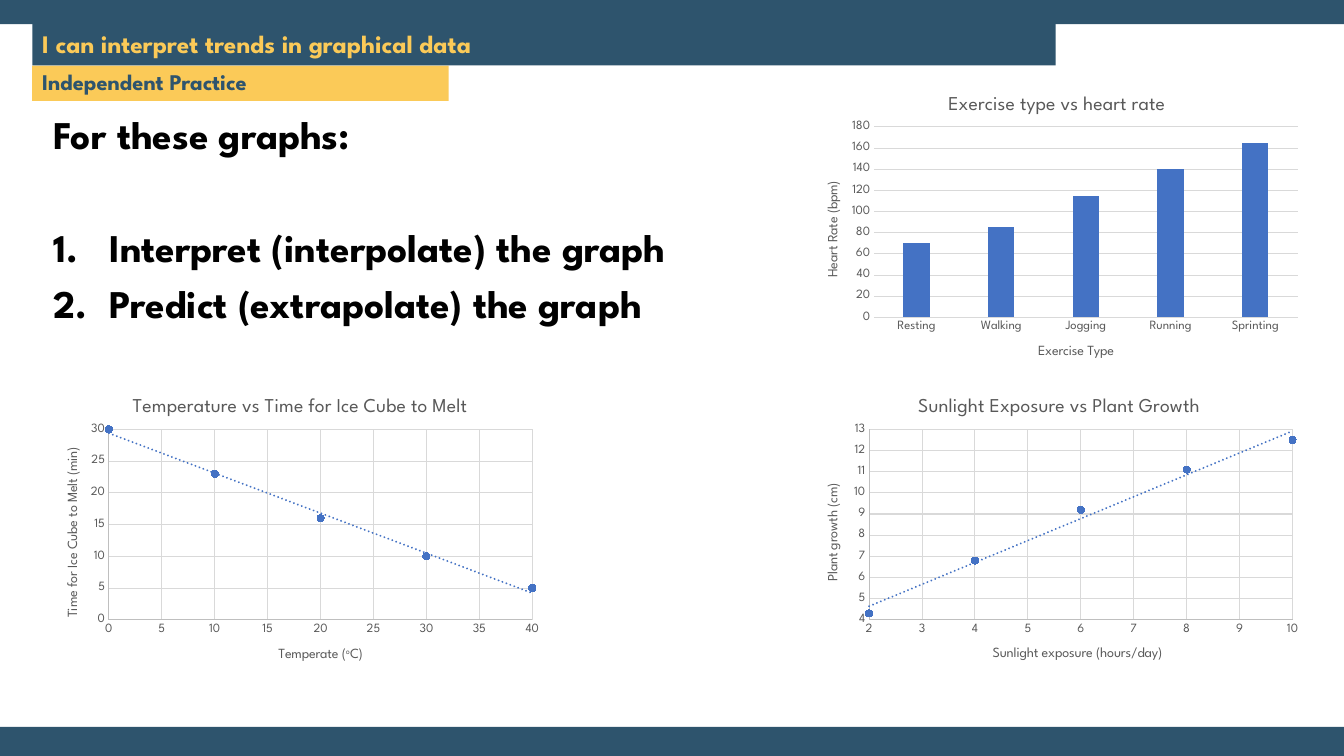
"""Build a practice slide with three graphs to interpret."""
from dataclasses import dataclass
from typing import Any

from lxml import etree
from pptx import Presentation
from pptx.chart.data import CategoryChartData, XyChartData
from pptx.dml.color import RGBColor
from pptx.enum.chart import XL_CHART_TYPE, XL_MARKER_STYLE, XL_TICK_MARK
from pptx.enum.shapes import MSO_SHAPE
from pptx.enum.text import MSO_ANCHOR, PP_ALIGN
from pptx.oxml import parse_xml
from pptx.oxml.ns import nsdecls, qn
from pptx.util import Inches, Pt

COLUMN = XL_CHART_TYPE.COLUMN_CLUSTERED
SCATTER = XL_CHART_TYPE.XY_SCATTER
CIRCLE = XL_MARKER_STYLE.CIRCLE
NO_TICK = XL_TICK_MARK.NONE
RECTANGLE = MSO_SHAPE.RECTANGLE
MIDDLE = MSO_ANCHOR.MIDDLE
LEFT = PP_ALIGN.LEFT

FONT = "League Spartan"
NAVY, YELLOW, BLACK = "2E546D", "FBCA58", "000000"
BLUE, GREY, GRID, AXIS = "4472C4", "595959", "D9D9D9", "BFBFBF"
WIDTH, HEIGHT = 13.33, 7.5
CHART_WIDTH, CHART_HEIGHT = 5, 3


@dataclass
class Band:
    left: float
    top: float
    width: float
    height: float
    fill: str
    text: str = ""
    size: int = 18
    color: str = YELLOW


@dataclass
class AxisStyle:
    title: str
    title_at: tuple[float, float]
    scale: dict[str, float]
    line: str = AXIS
    grid: bool = True
    rotation: int = 0


@dataclass
class Graph:
    left: float
    top: float
    title: str
    title_at: tuple[float, float]
    plot_at: tuple[float, float, float, float]
    across: AxisStyle
    upward: AxisStyle
    keys: list[Any]
    values: list[float]
    kind: Any = SCATTER


BANDS = [
    Band(0, 0, WIDTH, 0.24, NAVY),
    Band(0, 7.21, WIDTH, 0.29, NAVY),
    Band(0.32, 0.65, 4.13, 0.35, YELLOW, "Independent Practice", 16, NAVY),
    Band(0.32, 0.24, 10.15, 0.41, NAVY, "I can interpret trends in graphical data"),
]
TASKS = ["Interpret (interpolate) the graph", "Predict (extrapolate) the graph"]
GRAPHS = [
    Graph(7.97, 0.75, "Exercise type vs heart rate", (0.28, 0.05), (0.14, 0.17, 0.84, 0.63),
          AxisStyle("Exercise Type", (0.46, 0.88), {}, GRID, grid=False),
          AxisStyle("Heart Rate (bpm)", (0.04, 0.34),
                    {"minimum_scale": 0, "maximum_scale": 180, "major_unit": 20}, "", rotation=-90),
          ["Resting", "Walking", "Jogging", "Running", "Sprinting"], [70, 85, 115, 140, 165], COLUMN),
    Graph(0.43, 3.75, "Temperature vs Time for Ice Cube to Melt", (0.17, 0.05), (0.13, 0.17, 0.84, 0.63),
          AxisStyle("Temperate (^o^C)", (0.46, 0.88),
                    {"minimum_scale": 0, "maximum_scale": 40, "major_unit": 5}),
          AxisStyle("Time for Ice Cube to Melt (min)", (0.04, 0.22),
                    {"minimum_scale": 0, "maximum_scale": 30, "major_unit": 5}, rotation=-90),
          [0, 10, 20, 30, 40], [30, 23, 16, 10, 5]),
    Graph(7.97, 3.75, "Sunlight Exposure vs Plant Growth", (0.22, 0.05), (0.13, 0.17, 0.84, 0.63),
          AxisStyle("Sunlight exposure (hours/day)", (0.37, 0.88),
                    {"minimum_scale": 2, "maximum_scale": 10, "major_unit": 1}),
          AxisStyle("Plant growth (cm)", (0.04, 0.34),
                    {"minimum_scale": 4, "maximum_scale": 13, "major_unit": 1}, rotation=-90),
          [2, 4, 6, 8, 10], [4.3, 6.8, 9.2, 11.1, 12.5]),
]


def rgb(color: str) -> RGBColor:
    return RGBColor.from_string(color)


def set_all(target: Any, values: dict[str, Any]) -> None:
    for name, value in values.items():
        setattr(target, name, value)


def style_font(font: Any, size: float, color: str, bold: bool) -> None:
    set_all(font, {"name": FONT, "size": Pt(size), "bold": bold})
    font.color.rgb = rgb(color)


def draw_band(page: Any, band: Band) -> None:
    box = page.shapes.add_shape(RECTANGLE, *map(Inches, (band.left, band.top, band.width, band.height)))
    box.shadow.inherit = False
    box.fill.solid()
    box.fill.fore_color.rgb = rgb(band.fill)
    box.line.fill.background()
    if band.text:
        set_all(box.text_frame, {"vertical_anchor": MIDDLE, "word_wrap": True})
        para = box.text_frame.paragraphs[0]
        set_all(para, {"text": band.text, "alignment": LEFT, "line_spacing": 0.9})
        style_font(para.runs[0].font, band.size, band.color, True)


def draw_tasks(page: Any) -> None:
    box = page.shapes.add_textbox(*map(Inches, (0.43, 1.1, 9.93, 3)))
    box.text_frame.word_wrap = True
    heading = box.text_frame.paragraphs[0]
    set_all(heading, {"text": "For these graphs:", "line_spacing": 0.9})
    style_font(heading.runs[0].font, 28, BLACK, True)
    for index, task in enumerate(TASKS):
        para = box.text_frame.add_paragraph()
        set_all(para, {"text": task, "line_spacing": 0.9, "space_before": Pt(10 if index else 50)})
        properties = para._p.get_or_add_pPr()
        properties.set("marL", str(Inches(0.56)))
        properties.set("indent", str(-Inches(0.56)))
        etree.SubElement(properties, qn("a:buAutoNum"), type="arabicPeriod")
        style_font(para.runs[0].font, 28, BLACK, True)


def place(element: Any, index: int, fractions: tuple[float, ...]) -> None:
    for layout in element.findall(qn("c:layout")):
        element.remove(layout)
    layout = etree.Element(qn("c:layout"))
    manual = etree.SubElement(layout, qn("c:manualLayout"))
    if len(fractions) == 4:
        etree.SubElement(manual, qn("c:layoutTarget"), val="inner")
    for side in "xy":
        etree.SubElement(manual, qn(f"c:{side}Mode"), val="edge")
    for side, fraction in zip("xywh", fractions):
        etree.SubElement(manual, qn(f"c:{side}"), val=str(fraction))
    element.insert(index, layout)


def write_title(title: Any, text: str, size: int, at: tuple[float, float], rotation: int = 0) -> None:
    para = title.text_frame.paragraphs[0]
    for index, part in enumerate(text.split("^")):
        span = para.add_run()
        span.text = part
        style_font(span.font, size, GREY, False)
        if index % 2:
            span._r.get_or_add_rPr().set("baseline", "30000")
    style_font(para.font, size, GREY, False)
    title.element.find(".//" + qn("a:bodyPr")).set("rot", str(rotation * 60000))
    place(title.element, 1, at)


def style_line(line: Any, color: str) -> None:
    line.width = Pt(0.75)
    line.color.rgb = rgb(color)


def style_axis(axis: Any, style: AxisStyle) -> None:
    set_all(axis, {"major_tick_mark": NO_TICK, "minor_tick_mark": NO_TICK,
                   "has_major_gridlines": style.grid, **style.scale})
    set_all(axis.tick_labels, {"number_format": "General", "number_format_is_linked": False})
    style_font(axis.tick_labels.font, 9, GREY, False)
    if style.grid:
        style_line(axis.major_gridlines.format.line, GRID)
    if style.line:
        style_line(axis.format.line, style.line)
    else:
        axis.format.line.fill.background()
    write_title(axis.axis_title, style.title, 10, style.title_at, style.rotation)


def add_trend(series: Any) -> None:
    trend = parse_xml(
        f'<c:trendline {nsdecls("c", "a")}><c:spPr><a:ln w="{Pt(1.5)}" cap="rnd"><a:solidFill>'
        f'<a:srgbClr val="{BLUE}"/></a:solidFill><a:prstDash val="sysDot"/></a:ln></c:spPr>'
        '<c:trendlineType val="linear"/><c:dispRSqr val="0"/><c:dispEq val="0"/></c:trendline>')
    series._element.find(qn("c:xVal")).addprevious(trend)


def draw_graph(page: Any, graph: Graph) -> None:
    scatter = graph.kind == SCATTER
    if scatter:
        data = XyChartData()
        points = data.add_series("Series 1")
        for key, value in zip(graph.keys, graph.values):
            points.add_data_point(key, value)
    else:
        data = CategoryChartData()
        data.categories = graph.keys
        data.add_series("Series 1", graph.values)
    area = map(Inches, (graph.left, graph.top, CHART_WIDTH, CHART_HEIGHT))
    chart = page.shapes.add_chart(graph.kind, *area, data).chart
    set_all(chart, {"has_legend": False, "has_title": True})
    style_font(chart.font, 10, BLACK, False)
    write_title(chart.chart_title, graph.title, 14, graph.title_at)
    style_axis(chart.category_axis, graph.across)
    style_axis(chart.value_axis, graph.upward)
    place(chart.element.find(".//" + qn("c:plotArea")), 0, graph.plot_at)
    plot = chart.plots[0]
    plot.vary_by_categories = False
    series = plot.series[0]
    mark = series.marker if scatter else series
    mark.format.fill.solid()
    mark.format.fill.fore_color.rgb = rgb(BLUE)
    if scatter:
        set_all(mark, {"style": CIRCLE, "size": 5})
        mark.format.line.color.rgb = rgb(BLUE)
        series.format.line.fill.background()
        add_trend(series)
    else:
        set_all(plot, {"gap_width": 219, "overlap": -27})


def main() -> None:
    deck = Presentation()
    set_all(deck, {"slide_width": Inches(WIDTH), "slide_height": Inches(HEIGHT)})
    page = deck.slides.add_slide(deck.slide_layouts[6])
    for band in BANDS:
        draw_band(page, band)
    draw_tasks(page)
    for graph in GRAPHS:
        draw_graph(page, graph)
    deck.save("out.pptx")


if __name__ == "__main__":
    main()
